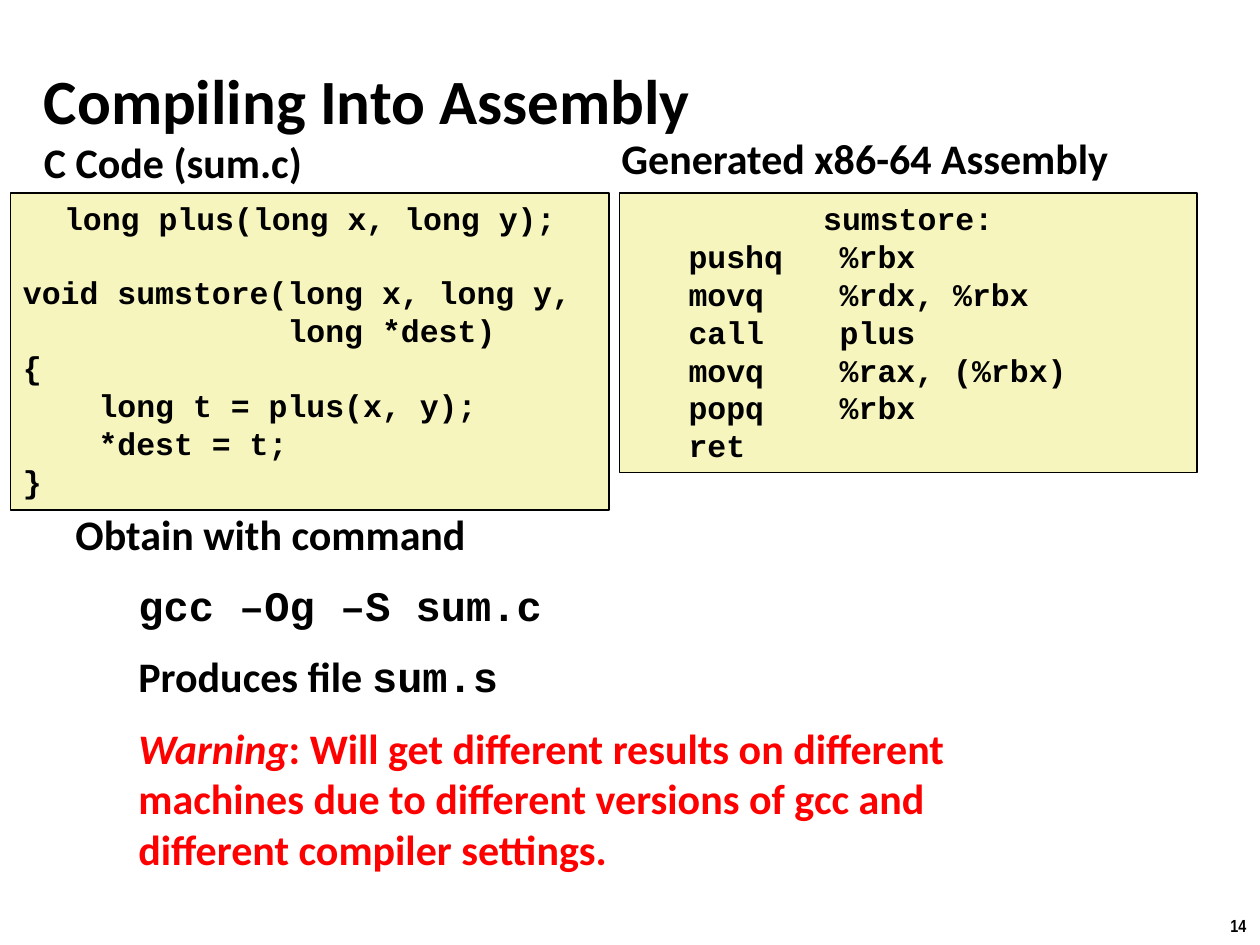
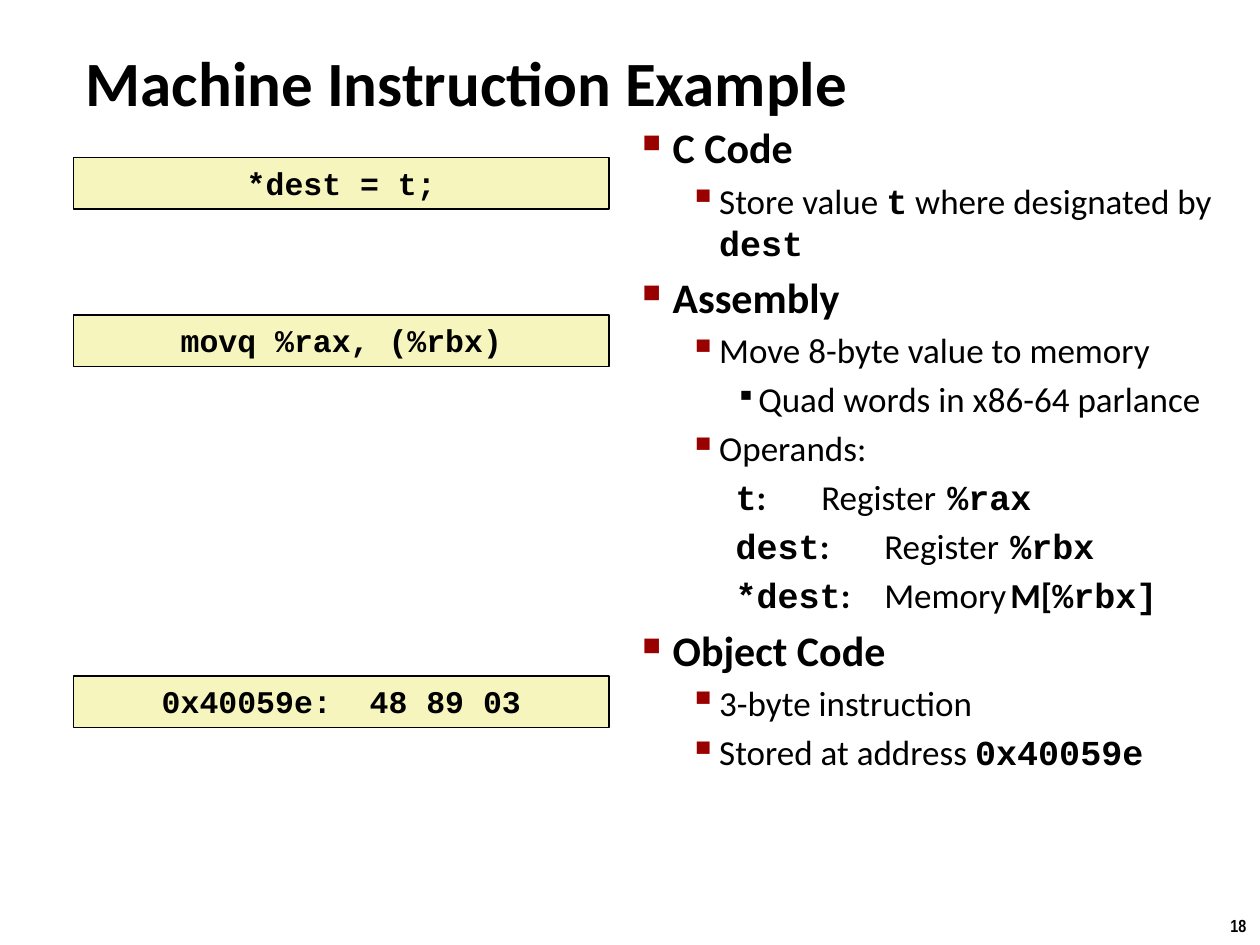
from dataclasses import dataclass

from lxml import etree
from pptx import Presentation
from pptx.dml.color import RGBColor
from pptx.enum.shapes import MSO_SHAPE
from pptx.enum.text import MSO_ANCHOR, MSO_AUTO_SIZE
from pptx.oxml.ns import qn
from pptx.util import Inches, Pt

RECT = MSO_SHAPE.RECTANGLE
TOP, MIDDLE = MSO_ANCHOR.TOP, MSO_ANCHOR.MIDDLE
GROW, FIXED = MSO_AUTO_SIZE.SHAPE_TO_FIT_TEXT, MSO_AUTO_SIZE.NONE
WIDE, HIGH = Inches(10), Inches(7.5)
COLS, ROWS = 120, 90


@dataclass(frozen=True)
class Theme:
    """Colours, fonts and type sizes of the deck."""
    ink: str = "000000"
    alert: str = "FF0000"
    mark: str = "990000"
    panel: str = "F6F5BD"
    sans: str = "Calibri"
    mono: str = "Courier New"
    slim: str = "Arial Narrow"
    title: int = 36
    head: int = 24
    text: int = 20
    code: int = 18
    foot: int = 10


@dataclass(frozen=True)
class Level:
    """Indent, bullet and spacing of a paragraph."""
    size: int
    depth: int = 0
    left: float = 0
    hang: float = 0
    gap: int = 0
    sign: str = ""
    scale: int = 100
    tint: str = ""
    tabs: tuple = ()


T = Theme()
STOPS = (1.75, 2.75)
TITLE = Level(T.title)
LABEL = Level(T.head, gap=20)
CODE = Level(T.code)
STEP = Level(T.head, gap=50)
SUB = Level(T.head, 1, 0.5, gap=50)
TOPIC = Level(T.head, 0, 0.24, -0.24, 20, "■", 60, T.mark, STOPS)
POINT = Level(T.text, 1, 0.61, -0.24, 20, "▪", 110, T.mark, STOPS)
NOTE = Level(T.text, 2, 0.92, -0.18, 20, "▪", 80, T.ink, STOPS)
ROW = Level(T.text, 2, 0.92, -0.18, 20, tabs=STOPS)

PLAIN = (T.sans, False, False, T.ink)
BOLD = (T.sans, True, False, T.ink)
MONO = (T.mono, True, False, T.ink)
SLIM = (T.slim, True, False, T.ink)
WARN = (T.sans, True, False, T.alert)
SLANT = (T.sans, True, True, T.alert)


def place(box):
    """Turn grid columns and rows into slide lengths."""
    x, y, w, h = box
    return [int(n) for n in (x * WIDE / COLS, y * HIGH / ROWS,
                             w * WIDE / COLS, h * HIGH / ROWS)]


def node(home, tag, **marks):
    """Add a child element with the given attributes."""
    kid = etree.SubElement(home, qn("a:" + tag))
    for key, value in marks.items():
        kid.set(key, str(value))
    return kid


def form(para, level):
    """Set the indent, spacing, bullet and tabs of a paragraph."""
    para.level = level.depth
    props = para._p.get_or_add_pPr()
    props.set("marL", str(Inches(level.left)))
    props.set("indent", str(Inches(level.hang)))
    if level.gap:
        node(node(props, "spcBef"), "spcPct", val=level.gap * 1000)
    if level.sign:
        node(node(props, "buClr"), "srgbClr", val=level.tint)
        node(props, "buSzPct", val=level.scale * 1000)
        node(props, "buChar", char=level.sign)
    else:
        node(props, "buNone")
    if level.tabs:
        stops = node(props, "tabLst")
        for stop in level.tabs:
            node(stops, "tab", pos=Inches(stop), algn="l")


def write(shape, paras, anchor=TOP, fit=FIXED, wrap=True):
    """Fill a shape with paragraphs of a level and styled runs."""
    frame = shape.text_frame
    frame.word_wrap, frame.auto_size = wrap, fit
    frame.vertical_anchor = anchor
    for i, (level, *runs) in enumerate(paras):
        para = frame.add_paragraph() if i else frame.paragraphs[0]
        form(para, level)
        for words, (face, bold, slant, tint) in runs:
            run = para.add_run()
            run.text = words
            font = run.font
            font.name, font.size = face, Pt(level.size)
            font.bold, font.italic = bold, slant
            font.color.rgb = RGBColor.from_string(tint)
    return frame


def label(slide, box, paras, **kind):
    """Place a plain text box on the grid."""
    return write(slide.shapes.add_textbox(*place(box)), paras, **kind)


def panel(slide, box, lines):
    """Place a code listing in a tinted frame."""
    shape = slide.shapes.add_shape(RECT, *place(box))
    shape.shadow.inherit = False
    shape.fill.solid()
    shape.fill.fore_color.rgb = RGBColor.from_string(T.panel)
    shape.line.color.rgb = RGBColor.from_string(T.ink)
    shape.line.width = Pt(1)
    return write(shape, [(CODE, (line, MONO)) for line in lines], fit=GROW)


def page(deck, number, title, box):
    """Start a slide with its number and title."""
    slide = deck.slides.add_slide(deck.slide_layouts[6])
    label(slide, (116, 86.6, 4, 3.2), [(Level(T.foot), (number, SLIM))],
          fit=GROW, wrap=False)
    label(slide, box, [(TITLE, (title, BOLD))], anchor=MIDDLE)
    return slide


def compile_page(deck):
    """Build the slide that sets C beside its assembly."""
    slide = page(deck, "14", "Compiling Into Assembly", (3, 5.8, 90, 7.3))
    label(slide, (3, 12.4, 32, 4.8), [(LABEL, ("C Code (sum.c)", BOLD))])
    source = panel(slide, (1, 18.4, 57, 30.2), (
        "long plus(long x, long y);",
        "void sumstore(long x, long y,",
        "              long *dest)",
        "{",
        "    long t = plus(x, y);",
        "    *dest = t;",
        "}"))
    source.paragraphs[1].space_before = Pt(20.4)
    label(slide, (58, 12, 54, 5.4),
          [(LABEL, ("Generated x86-64 Assembly", BOLD))])
    panel(slide, (59, 18.4, 55, 26.6), (
        "sumstore:",
        "   pushq   %rbx",
        "   movq    %rdx, %rbx",
        "   call    plus",
        "   movq    %rax, (%rbx)",
        "   popq    %rbx",
        "   ret"))
    label(slide, (6, 47.8, 98, 44.8), [
        (STEP, ("Obtain with command", BOLD)),
        (SUB, ("gcc –Og –S sum.c", MONO)),
        (SUB, ("Produces file ", BOLD), ("sum.s", MONO)),
        (SUB, ("Warning", SLANT),
         (": Will get different results on different machines due to "
          "different versions of gcc and different compiler settings.", WARN)),
    ], fit=GROW)


def operand(name, colon, kind, *value):
    """Give one tabbed line of the operand list."""
    return (ROW, (name, MONO), (colon, BOLD), (kind, PLAIN), *value)


def machine_page(deck):
    """Build the slide that follows one instruction."""
    slide = page(deck, "18", "Machine Instruction Example", (7, 4, 95, 7.5))
    label(slide, (60, 11, 60, 76), [
        (TOPIC, ("C Code", BOLD)),
        (POINT, ("Store value ", PLAIN), ("t", MONO),
         (" where designated by ", PLAIN), ("dest", MONO)),
        (TOPIC, ("Assembly", BOLD)),
        (POINT, ("Move 8-byte value to memory", PLAIN)),
        (NOTE, ("Quad words in x86-64 parlance", PLAIN)),
        (POINT, ("Operands:", PLAIN)),
        operand("t", ":\t", "Register\t", ("%rax", MONO)),
        operand("dest", ":\t", "Register\t", ("%rbx", MONO)),
        operand("*dest", ": ", "\tMemory\t", ("M[", BOLD), ("%rbx]", MONO)),
        (TOPIC, ("Object Code", BOLD)),
        (POINT, ("3-byte instruction", PLAIN)),
        (POINT, ("Stored at address ", PLAIN), ("0x40059e", MONO)),
    ])
    for row, line in ((15, "*dest = t;"), (30, "movq %rax, (%rbx)"),
                      (64.4, "0x40059e:  48 89 03")):
        panel(slide, (7, row, 51, 4.9), [line])


def main():
    """Build and save the deck."""
    deck = Presentation()
    deck.slide_width, deck.slide_height = WIDE, HIGH
    compile_page(deck)
    machine_page(deck)
    deck.save("out.pptx")


if __name__ == "__main__":
    main()
